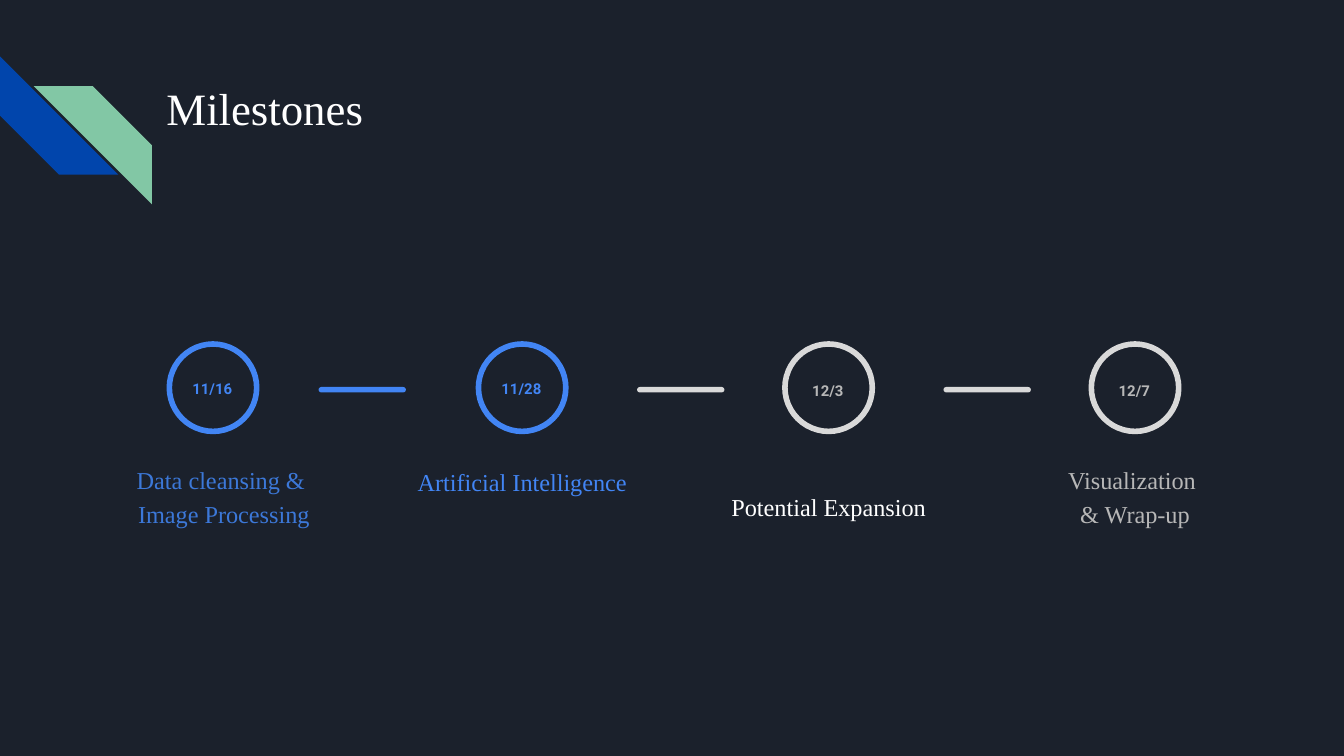
import pptx
import pptx.util
import pptx.dml.color
import pptx.enum.shapes
import pptx.enum.text

Inches = pptx.util.Inches
RGB = pptx.dml.color.RGBColor
KIND = pptx.enum.shapes.MSO_SHAPE
ALIGN = pptx.enum.text.PP_ALIGN
ANCHOR = pptx.enum.text.MSO_ANCHOR

NIGHT = RGB(0x1B, 0x21, 0x2C)
NAVY = RGB(0x01, 0x45, 0xAC)
MINT = RGB(0x82, 0xC7, 0xA5)
BLUE = RGB(0x42, 0x85, 0xF4)
DEEP = RGB(0x3C, 0x78, 0xD8)
PALE = RGB(0xD9, 0xD9, 0xD9)
GRAY = RGB(0xB7, 0xB7, 0xB7)
WHITE = RGB(0xFF, 0xFF, 0xFF)

SERIF = "Times New Roman"
SANS = "Roboto"
WIDTH = 10
RING = 0.65
RING_TOP = 2.56
BAR_TOP = 2.88
FIRST, SECOND, STEP = 1.26, 3.56, 2.28

# date, ring colour, date colour, date box (shift, top, width),
# label lines, label colour, label box (shift, top, height), line spacing
STAGES = [
    ("11/16", BLUE, BLUE, (0.04, 2.72, 0.56),
     ["Data cleansing & ", "Image Processing"], DEEP, (-0.53, 3.26, 0.77), 1.15),
    ("11/28", BLUE, BLUE, (0.04, 2.72, 0.56),
     ["Artificial Intelligence"], BLUE, (-0.61, 3.38, 0.41), 1.15),
    ("12/3", PALE, GRAY, (0.08, 2.73, 0.48),
     ["Potential Expansion"], WHITE, (-0.61, 3.47, 0.51), 1),
    ("12/7", PALE, GRAY, (0.08, 2.73, 0.48),
     ["Visualization ", "& Wrap-up"], GRAY, (-0.61, 3.38, 0.65), 1.15),
]
BARS = [(2.37, BLUE), (SECOND + 1.18, PALE), (SECOND + STEP + 1.18, PALE)]


def assign(item, values):
    for name, value in values.items():
        setattr(item, name, value)


def add_text(shapes, box, lines, font, para=None, frame=None):
    area = shapes.add_textbox(*map(Inches, box)).text_frame
    margins = dict.fromkeys(
        ("margin_left", "margin_top", "margin_right", "margin_bottom"), Inches(0.1))
    assign(area, {"word_wrap": True, **margins, **(frame or {})})
    for place, line in enumerate(lines):
        part = area.paragraphs[0] if place == 0 else area.add_paragraph()
        assign(part, para or {})
        run = part.add_run()
        run.text = line
        color = font["color"]
        assign(run.font, {k: v for k, v in font.items() if k != "color"})
        run.font.color.rgb = color


def add_solid(shapes, kind, box, color, turn=0):
    shape = shapes.add_shape(kind, *map(Inches, box))
    shape.adjustments[0] = 0.5
    shape.rotation = turn
    shape.shadow.inherit = False
    shape.fill.solid()
    shape.fill.fore_color.rgb = color
    shape.line.fill.background()


def add_ring(shapes, left, color):
    ring = shapes.add_shape(KIND.OVAL, *map(Inches, (left, RING_TOP, RING, RING)))
    ring.shadow.inherit = False
    ring.fill.background()
    ring.line.color.rgb = color
    ring.line.width = pptx.util.Pt(3)


def add_stage(slide, left, stage):
    """Group a ring with its date inside and its label below."""
    date, edge, ink, spot, lines, tint, place, gap = stage
    shapes = slide.shapes.add_group_shape().shapes
    add_ring(shapes, left, edge)
    shift, top, height = place
    add_text(shapes, (left + shift, top, 1.87, height), lines,
             {"size": pptx.util.Pt(13), "name": SERIF, "color": tint},
             {"alignment": ALIGN.CENTER, "line_spacing": gap},
             {"vertical_anchor": ANCHOR.BOTTOM})
    shift, top, width = spot
    add_text(shapes, (left + shift, top, width, 0.35), [date],
             {"size": pptx.util.Pt(8), "name": SANS, "bold": True, "color": ink},
             {"alignment": ALIGN.CENTER, "line_spacing": 1.15},
             {"margin_top": Inches(0.12)})


def main():
    deck = pptx.Presentation()
    assign(deck, {"slide_width": Inches(WIDTH),
                  "slide_height": Inches(WIDTH * 9 / 16)})
    slide = deck.slides.add_slide(deck.slide_layouts[6])
    slide.background.fill.solid()
    slide.background.fill.fore_color.rgb = NIGHT

    stripes = slide.shapes.add_group_shape().shapes
    add_solid(stripes, KIND.DIAGONAL_STRIPE, (0, 0.42, 0.88, 0.88), NAVY, 270)
    add_solid(stripes, KIND.DIAGONAL_STRIPE, (0.25, 0.64, 0.88, 0.88), MINT, 90)
    add_text(slide.shapes, (1.14, 0.5, 7.98, 1), ["Milestones"],
             {"size": pptx.util.Pt(24), "name": SERIF, "color": WHITE})

    for place, stage in enumerate(STAGES):
        left = SECOND + STEP * (place - 1) if place else FIRST
        add_stage(slide, left, stage)
    for left, color in BARS:
        add_solid(slide.shapes, KIND.ROUNDED_RECTANGLE,
                  (left, BAR_TOP, RING, 0.04), color)
    deck.save("out.pptx")


if __name__ == "__main__":
    main()
